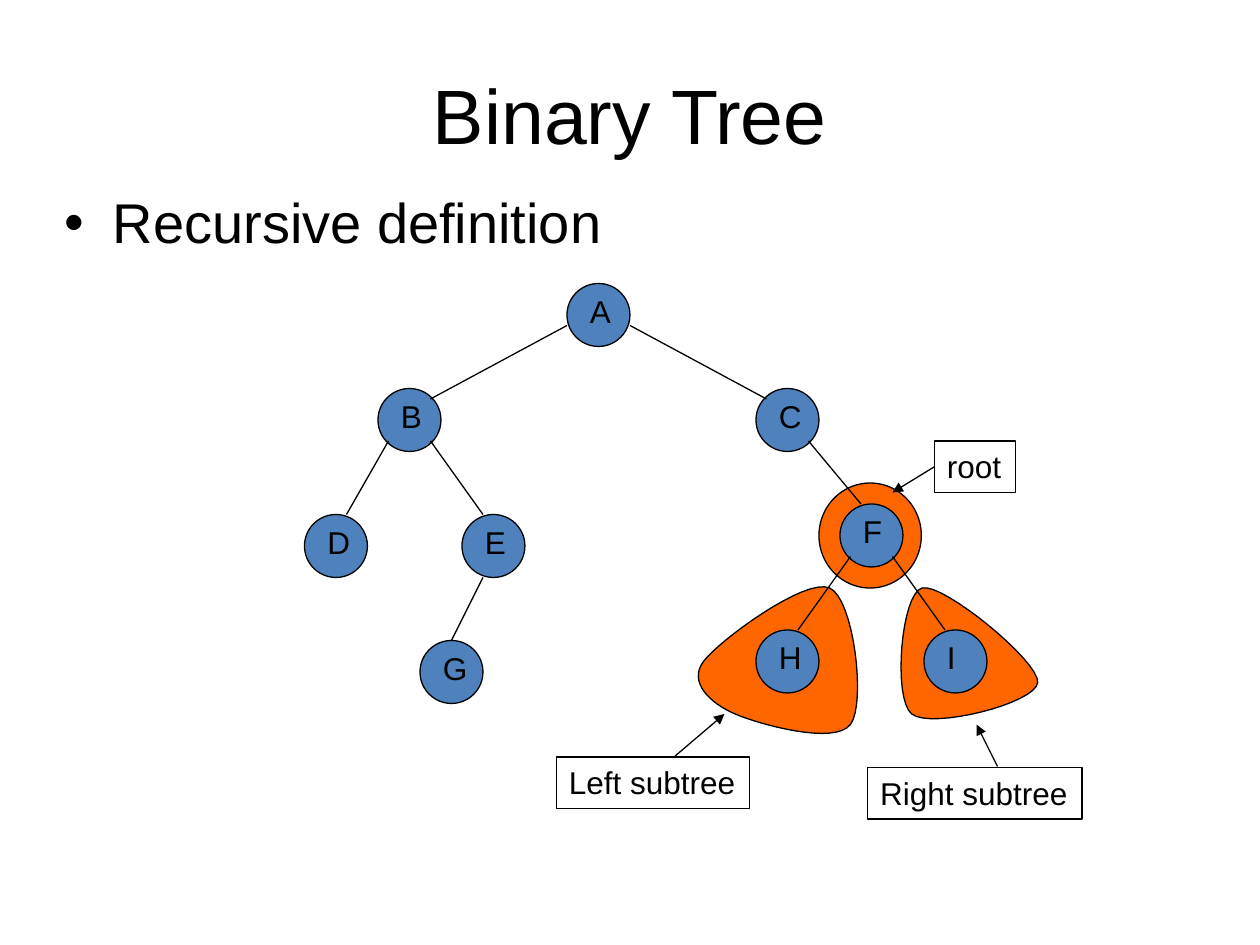
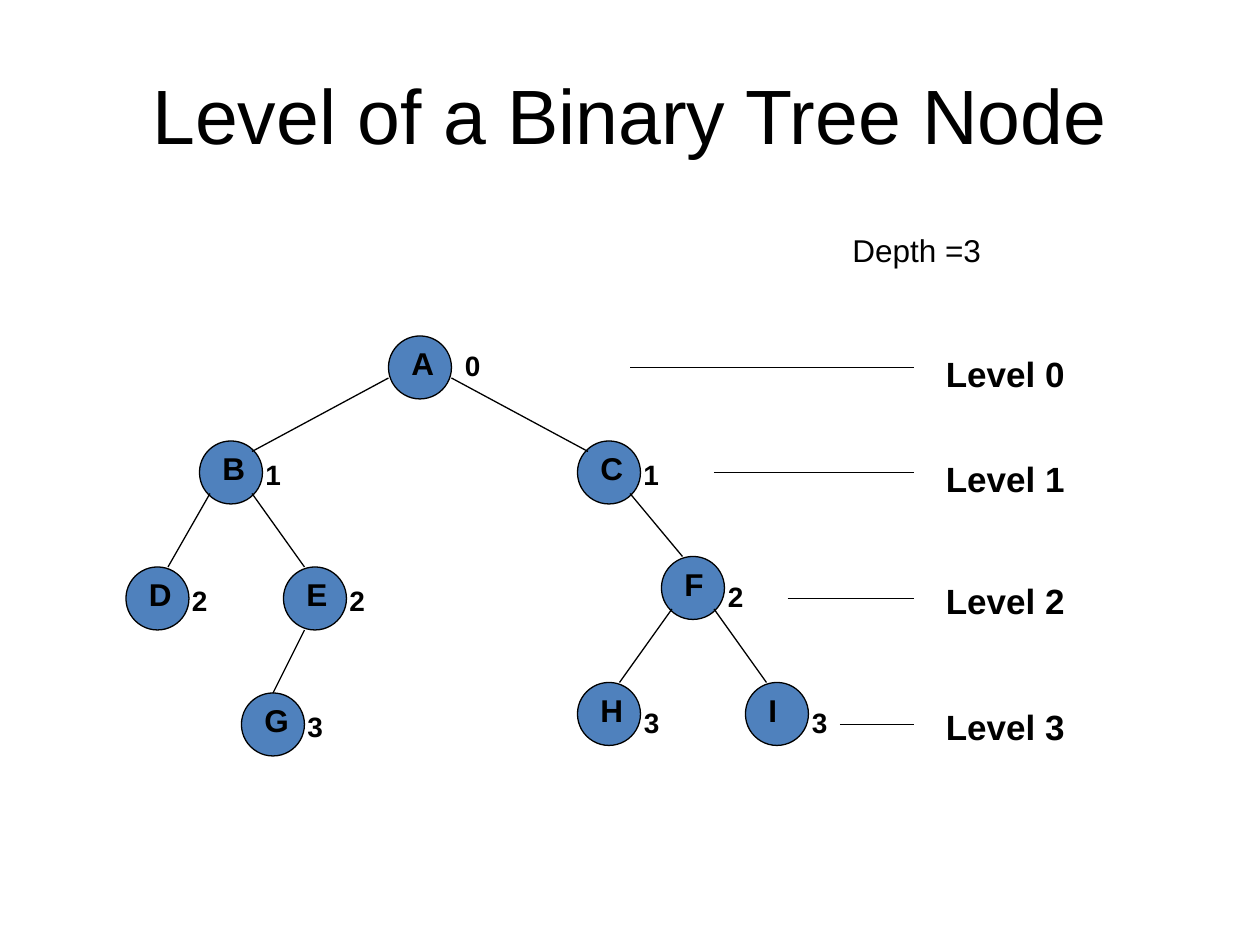
from lxml import etree
from pptx import Presentation
from pptx import util as u
from pptx.dml.color import RGBColor
from pptx.enum import shapes, text
from pptx.oxml.ns import qn

COLORS = {"ink": "000000", "node": "4F81BD", "highlight": "FF6600"}
FONT = "Arial"
CELL = u.Inches(10) / 120  # the slide is a grid of 120 columns and 90 rows
NODE = 6  # node diameter in cells

# Column, row and level of each node
NODES = {
    "A": (54, 27, 0), "B": (36, 37, 1), "D": (29, 49, 2),
    "H": (72, 60, 3), "C": (72, 37, 1), "E": (44, 49, 2),
    "F": (80, 48, 2), "G": (40, 61, 3), "I": (88, 60, 3),
}
# Parent, child, and where the edge leaves and meets their frames
EDGES = [
    ("A", "B", (0, 4), (5, 1)), ("A", "C", (6, 4), (1, 1)),
    ("B", "D", (1, 5), (4, 0)), ("B", "E", (5, 5), (2, 0)),
    ("E", "G", (2, 6), (3, 0)), ("C", "F", (5, 5), (2, 0)),
    ("F", "H", (1, 5), (4, 0)), ("F", "I", (5, 5), (2, 0)),
]
# Start point, then two control points and an end point per curve
LEFT_SUBTREE = [
    (79, 56), (76.67, 55), (68.5, 61), (67, 63), (65.5, 65), (67.67, 67),
    (70, 68), (72.33, 69), (79.5, 71), (81, 69), (82.5, 67), (81.33, 57),
    (79, 56),
]
RIGHT_SUBTREE = [
    (87.83, 56), (85.83, 56.5), (85, 66.5), (86.83, 68), (88.67, 69.5),
    (98.67, 67), (98.83, 65), (99, 63), (89.83, 55.5), (87.83, 56),
]


def cells(*values):
    return [u.Emu(round(v * CELL)) for v in values]


def rgb(name):
    return RGBColor.from_string(COLORS[name])


def style(sp, fill=None):
    """Give a shape the thin outline and an optional fill."""
    sp.shadow.inherit = False
    if fill:
        sp.fill.solid()
        sp.fill.fore_color.rgb = rgb(fill)
    else:
        sp.fill.background()
    sp.line.color.rgb = rgb("ink")
    sp.line.width = u.Pt(0.75)
    return sp


def write(sp, string, size=18, bold=False, align="LEFT", anchor="TOP",
          wrap=True, grow=True, bullet=False):
    tf = sp.text_frame
    tf.word_wrap = wrap
    fit = text.MSO_AUTO_SIZE
    tf.auto_size = fit.SHAPE_TO_FIT_TEXT if grow else fit.NONE
    tf.vertical_anchor = text.MSO_ANCHOR[anchor]
    p = tf.paragraphs[0]
    p.alignment = text.PP_ALIGN[align]
    if bullet:
        p.line_spacing = 0.9
        pPr = p._p.get_or_add_pPr()
        pPr.set("marL", str(u.Inches(0.38)))
        pPr.set("indent", str(-u.Inches(0.38)))
        etree.SubElement(pPr, qn("a:buFont"), typeface=FONT)
        etree.SubElement(pPr, qn("a:buChar"), char="•")
    r = p.add_run()
    r.text = string
    r.font.name = FONT
    r.font.size = u.Pt(size)
    r.font.bold = bold
    r.font.color.rgb = rgb("ink")


def label(s, string, box, **fmt):
    write(s.shapes.add_textbox(*cells(*box)), string, **fmt)


def shape(s, kind, box, fill=None):
    return style(s.shapes.add_shape(shapes.MSO_SHAPE[kind], *cells(*box)), fill)


def line(s, start, end, arrow=False):
    sp = s.shapes.add_connector(shapes.MSO_CONNECTOR.STRAIGHT,
                                *cells(*start, *end))
    sp.line.color.rgb = rgb("ink")
    sp.line.width = u.Pt(0.75)
    if arrow:
        etree.SubElement(sp.line._get_or_add_ln(), qn("a:tailEnd"),
                         type="triangle")
    etree.SubElement(sp._element.spPr, qn("a:effectLst"))
    return sp


def blob(s, points, steps=16):
    """Draw a closed outline of cubic curves as short segments."""
    outline = []
    for i in range(0, len(points) - 1, 3):
        for t in (k / steps for k in range(1, steps + 1)):
            weights = ((1 - t) ** 3, 3 * t * (1 - t) ** 2,
                       3 * t * t * (1 - t), t ** 3)
            outline.append(cells(*(
                sum(w * pt[axis] for w, pt in zip(weights, points[i:i + 4]))
                for axis in (0, 1))))
    builder = s.shapes.build_freeform(*cells(*points[0]))
    builder.add_line_segments(outline, close=True)
    style(builder.convert_to_shape(), "highlight")


def callout(s, string, box, start, tip, side=None):
    """Boxed text with an arrow, joined to the box if a side is given."""
    sp = shape(s, "RECTANGLE", box)
    write(sp, string, wrap=False)
    arrow = line(s, start, tip, arrow=True)
    if side is not None:
        arrow.begin_connect(sp, side)


def tree(s, dx=0, dy=0, bold=False):
    places = {n: (x + dx, y + dy) for n, (x, y, _) in NODES.items()}
    for name, (x, y) in places.items():
        shape(s, "OVAL", (x, y, NODE, NODE), "node")
        label(s, name, (x + 1, y + 0.2, 4, 4.8), bold=bold)
    for parent, child, leave, meet in EDGES:
        (px, py), (cx, cy) = places[parent], places[child]
        line(s, (px + leave[0], py + leave[1]), (cx + meet[0], cy + meet[1]))
    return places


def new_slide(prs, title):
    s = prs.slides.add_slide(prs.slide_layouts[6])
    label(s, title, (6, 4.8, 108, 12), size=44, align="CENTER",
          anchor="MIDDLE", grow=False)
    return s


def recursive_definition(prs):
    s = new_slide(prs, "Binary Tree")
    blob(s, LEFT_SUBTREE)
    blob(s, RIGHT_SUBTREE)
    shape(s, "OVAL", (78, 46, 9.75, 10), "highlight")
    label(s, "Recursive definition", (5, 18, 108, 7), size=32,
          grow=False, bullet=True)
    tree(s)
    callout(s, "root", (89, 42, 7.7, 4.9), (89, 44.9), (85, 46.9), side=1)
    callout(s, "Right subtree", (82.65, 73.1, 20.4, 4.9), (95, 73), (93, 69))
    callout(s, "Left subtree", (53, 72.1, 18.4, 4.9), (64.3, 72), (69, 68))


def node_levels(prs):
    s = new_slide(prs, "Level of a Binary Tree Node")
    places = tree(s, dx=-17, dy=5, bold=True)
    nudges = {"A": (6.1, 0.6), **dict.fromkeys("FHI", (5.15, 1.6))}
    for name, (x, y) in places.items():
        dx, dy = nudges.get(name, (5.1, 1))
        label(s, str(NODES[name][2]), (x + dx, y + dy, 4, 4.4), size=16,
              bold=True, wrap=False)
    levels = [(33, 35, 60), (43, 45, 68), (54.6, 57, 75), (66.6, 69, 80)]
    for level, (top, row, start) in enumerate(levels):
        label(s, f"Level {level}", (88.9, top, 13.8, 5.3), size=20,
              bold=True, wrap=False)
        line(s, (start, row), (87, row))
    label(s, "Depth =3", (80, 21.4, 20, 4.8))


def main():
    prs = Presentation()
    prs.slide_width, prs.slide_height = cells(120, 90)
    recursive_definition(prs)
    node_levels(prs)
    prs.save("out.pptx")


if __name__ == "__main__":
    main()
